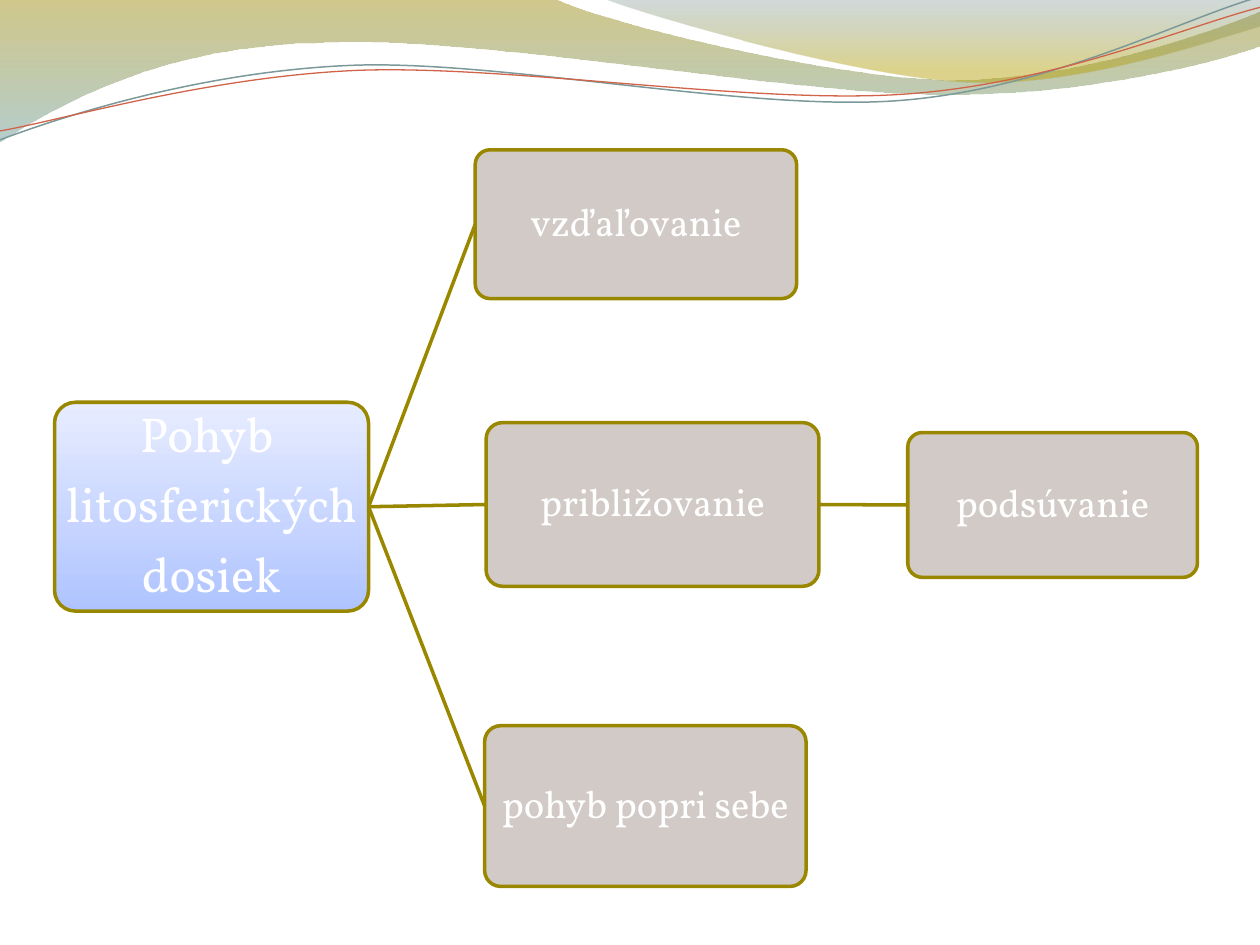
import pptx
import pptx.dml.color
import pptx.enum.shapes
import pptx.enum.text
import pptx.oxml
import pptx.oxml.ns
import pptx.util
from lxml import etree

Cm = pptx.util.Cm
Pt = pptx.util.Pt
RGBColor = pptx.dml.color.RGBColor
qn = pptx.oxml.ns.qn

WHITE = RGBColor(0xFF, 0xFF, 0xFF)
OLIVE = RGBColor(0x99, 0x87, 0x00)
DARK_GOLD = RGBColor(0x97, 0x85, 0x00)
GOLD = RGBColor(0xB4, 0x9F, 0x00)
TEAL = RGBColor(0x77, 0xA5, 0xA6)
SLATE = RGBColor(0x64, 0x84, 0x84)
GREY_TEAL = RGBColor(0x7C, 0x99, 0x9A)
RED = RGBColor(0xD1, 0x63, 0x49)
BLUE = RGBColor(0xAF, 0xC4, 0xFF)
PALE_BLUE = RGBColor(0xE7, 0xEC, 0xFF)
WARM_GREY = RGBColor(0xD1, 0xCA, 0xC6)
FONT = "Vollkorn"

presentation = pptx.Presentation()
presentation.slide_width = Cm(25.4)
presentation.slide_height = Cm(19.05)
slide = presentation.slides.add_slide(presentation.slide_layouts[6])


def add_curve(points, close):
    """Draw a start point, then line ends (2 numbers) or Bezier segments (6 numbers), in cm."""
    vertices = [(Cm(segment[i]), Cm(segment[i + 1]))
                for segment in points for i in range(0, len(segment), 2)]
    builder = slide.shapes.build_freeform(*vertices[0])
    builder.add_line_segments(vertices[1:], close=close)
    shape = builder.convert_to_shape()
    shape.shadow.inherit = False
    # Join each three line ends of a Bezier segment into one curve
    line_ends = iter(shape._element.findall(".//" + qn("a:lnTo")))
    for segment in points[1:]:
        first = next(line_ends)
        if len(segment) == 6:
            first.tag = qn("a:cubicBezTo")
            for _ in range(2):
                line_end = next(line_ends)
                first.append(line_end[0])
                line_end.getparent().remove(line_end)
    return shape


def set_gradient(fill, angle, stops):
    """Apply two stops of (position, colour, opacity in percent)."""
    fill.gradient()
    fill.gradient_angle = angle
    for stop, (position, colour, opacity) in zip(fill.gradient_stops, stops):
        stop.position = position
        stop.color.rgb = colour
        if opacity < 100:
            colour_element = stop._gs.find(qn("a:srgbClr"))
            alpha = etree.SubElement(colour_element, qn("a:alpha"))
            alpha.set("val", str(opacity * 1000))


# Translucent waves along the top
waves = [
    ([(0, -0.03), (11.18, -0.03), (12.09, 0.43, 16.87, 1.6, 19.25, 1.6),
      (21.67, 1.6, 24.33, 0.66, 25.4, 0.23), (25.43, 0.91),
      (24.97, 1.12, 22.1, 1.93, 18.95, 1.9), (15.8, 1.9, 9.7, 0.71, 6.53, 0.86),
      (3.28, 0.89, 1.17, 2.11, -0.03, 2.87)],
     [(0, DARK_GOLD, 45), (1, TEAL, 55)]),
    ([(12.17, -0.03), (12.93, 0.28, 17.32, 1.57, 19.53, 1.65),
      (21.74, 1.75, 24.41, 0.81, 25.4, 0.53), (25.4, 0)],
     [(0, SLATE, 30), (0.8, GOLD, 45)]),
]
for points, stops in waves:
    wave = add_curve(points, close=True)
    wave.line.fill.background()
    set_gradient(wave.fill, 270, stops)

# Thin lines that follow the waves
wave_lines = [
    ([(0, 2.82), (1.22, 2.36, 4.01, 1.45, 7.04, 1.32),
      (10.03, 1.19, 15.06, 2.26, 18.11, 2.03),
      (21.16, 1.8, 23.83, 0.38, 25.35, -0.05)], GREY_TEAL, 0.85),
    ([(0, 2.64), (1.19, 2.44, 4.17, 1.55, 7.19, 1.42),
      (10.24, 1.3, 15.16, 2.11, 18.21, 1.9),
      (21.23, 1.7, 23.9, 0.53, 25.4, 0.15)], RED, 0.75),
]
for points, colour, width in wave_lines:
    wave_line = add_curve(points, close=False)
    wave_line.fill.background()
    wave_line.line.color.rgb = colour
    wave_line.line.width = Pt(width)

# Boxes of the tree: left, top, width, height, text size, text
boxes = {
    "root": (1.1, 8.11, 6.33, 4.21, 28, "Pohyb \nlitosferických \ndosiek"),
    "apart": (9.58, 3.02, 6.48, 3, 22, "vzďaľovanie"),
    "together": (9.8, 8.52, 6.71, 3.3, 22, "približovanie"),
    "under": (18.3, 8.72, 5.84, 2.92, 22, "podsúvanie"),
    "along": (9.77, 14.63, 6.48, 3.24, 22, "pohyb popri sebe"),
}
shapes = {}
for name, (left, top, width, height, size, text) in boxes.items():
    shape = slide.shapes.add_shape(
        pptx.enum.shapes.MSO_SHAPE.ROUNDED_RECTANGLE,
        Cm(left), Cm(top), Cm(width), Cm(height))
    shapes[name] = shape
    shape.adjustments[0] = 0.1
    shape.shadow.inherit = False
    shape.line.color.rgb = OLIVE
    shape.line.width = Pt(2)
    if name == "root":
        set_gradient(shape.fill, 90, [(0, BLUE, 100), (1, PALE_BLUE, 100)])
    else:
        shape.fill.solid()
        shape.fill.fore_color.rgb = WARM_GREY
    frame = shape.text_frame
    frame.word_wrap = True
    frame.vertical_anchor = pptx.enum.text.MSO_ANCHOR.MIDDLE
    frame.margin_left = frame.margin_right = Cm(0.05)
    frame.margin_top = frame.margin_bottom = Cm(0.05)
    frame.text = text
    for paragraph in frame.paragraphs:
        paragraph.alignment = pptx.enum.text.PP_ALIGN.CENTER
        paragraph.line_spacing = 0.9
        paragraph.space_after = Pt(round(size * 0.35, 1))
        for run in paragraph.runs:
            run.font.name = FONT
            run.font.size = Pt(size)
            run.font.color.rgb = WHITE

# Branches from the right side of a box (site 3) to the left side of the next (site 1)
branches = [("root", "apart"), ("root", "together"), ("together", "under"), ("root", "along")]
for parent, child in branches:
    connector = slide.shapes.add_connector(
        pptx.enum.shapes.MSO_CONNECTOR.STRAIGHT, 0, 0, 0, 0)
    connector.begin_connect(shapes[parent], 3)
    connector.end_connect(shapes[child], 1)
    connector.line.color.rgb = OLIVE
    connector.line.width = Pt(2)
    etree.SubElement(connector._element.spPr, qn("a:effectLst"))

presentation.save("out.pptx")
